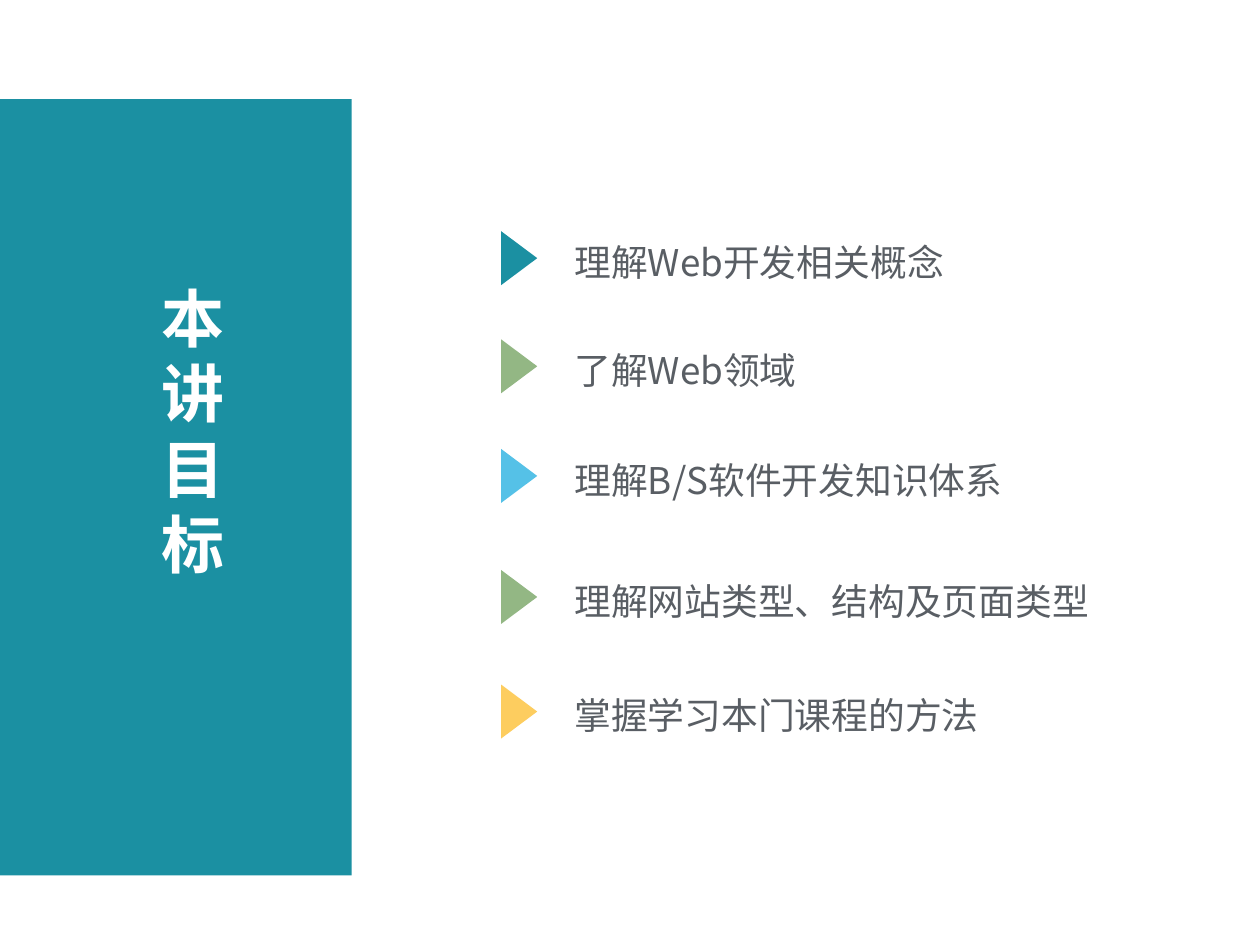
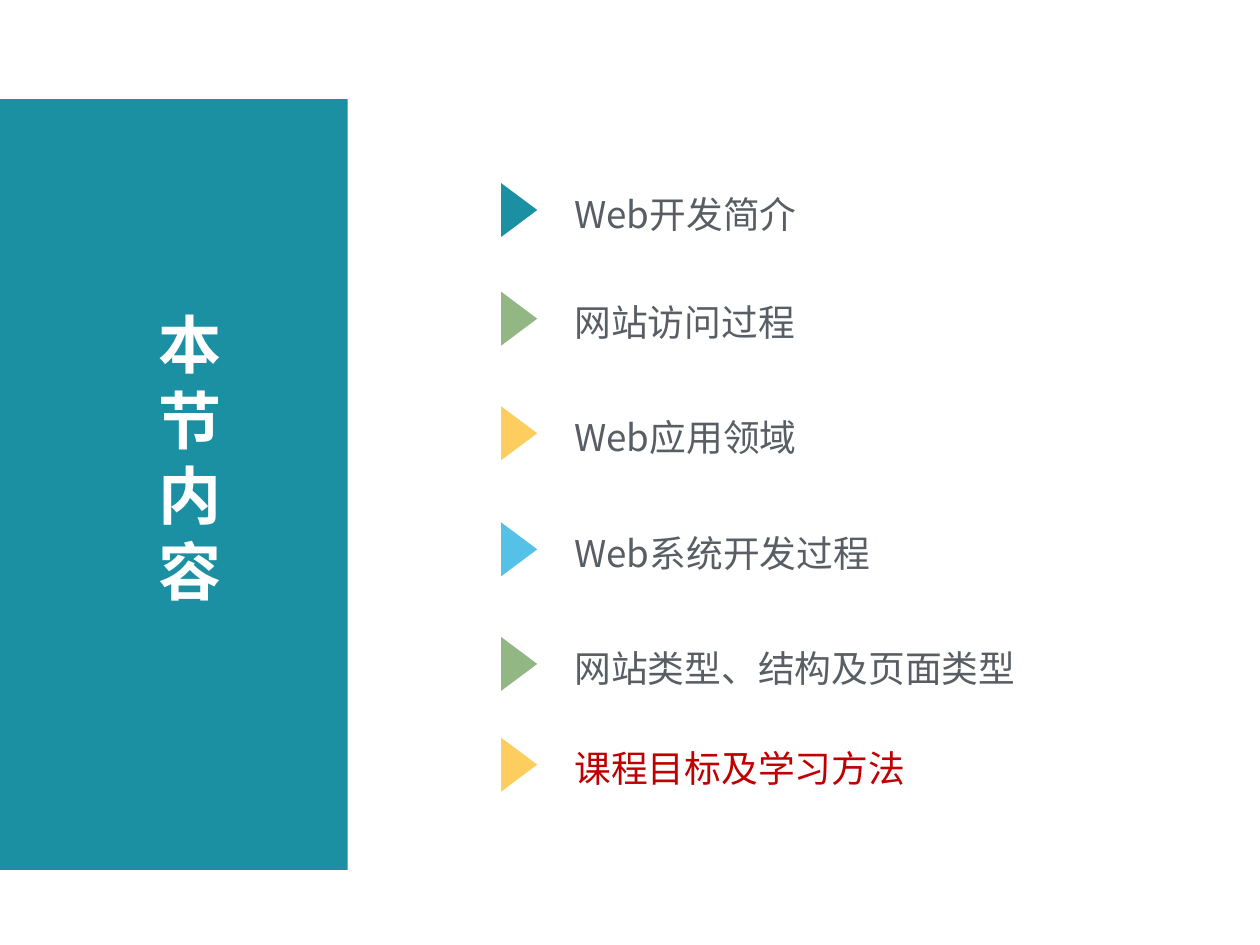
from dataclasses import dataclass
from typing import NamedTuple

from lxml import etree
from pptx import Presentation
from pptx import util as u
from pptx.dml.color import RGBColor
from pptx.enum import shapes
from pptx.oxml import ns


@dataclass(frozen=True)
class Theme:
    font: str = "Noto Sans CJK SC"
    teal: str = "1B90A2"
    green: str = "93B784"
    blue: str = "55C1E7"
    gold: str = "FDCD5F"
    grey: str = "595E64"
    red: str = "C00000"
    white: str = "FFFFFF"
    head: int = 36
    body: int = 21
    lead: float = 1.2
    drop: float = 0.07


T = Theme()


class Box(NamedTuple):
    left: float
    top: float
    wide: float
    high: float

    def cm(self) -> list:
        return [u.Cm(n) for n in self]


class Item(NamedTuple):
    text: str
    top: float
    wide: float
    mark: str
    ink: str = T.grey


class Page(NamedTuple):
    title: str
    panel: Box
    head: Box
    items: tuple


PAGES = (
    Page("本讲目标", Box(0, 2, 7.09, 15.65), Box(3, 5.41, 2.49, 6.4), (
        Item("理解Web开发相关概念", 4.65, 8.61, T.teal),
        Item("了解Web领域", 6.83, 8.23, T.green),
        Item("理解B/S软件开发知识体系", 9.04, 9.6, T.blue),
        Item("理解网站类型、结构及页面类型", 11.48, 16.28, T.green),
        Item("掌握学习本门课程的方法", 13.79, 10.13, T.gold),
    )),
    Page("本节内容", Box(0, 2, 7.01, 15.54), Box(2.95, 5.94, 2.49, 6.4), (
        Item("Web开发简介", 3.68, 5.72, T.teal),
        Item("网站访问过程", 5.87, 6.3, T.green),
        Item("Web应用领域", 8.18, 7.42, T.gold),
        Item("Web系统开发过程", 10.52, 7.06, T.blue),
        Item("网站类型、结构及页面类型", 12.83, 16.28, T.green),
        Item("课程目标及学习方法", 14.86, 7.42, T.red and T.gold, T.red),
    )),
)


def add_form(slide, kind, box: Box, fill: str, turn: int = 0) -> None:
    form = slide.shapes.add_shape(kind, *box.cm())
    form.rotation = turn
    form.shadow.inherit = False
    form.fill.solid()
    form.fill.fore_color.rgb = RGBColor.from_string(fill)
    form.line.fill.background()


def add_text(slide, words: str, box: Box, size: int, ink: str, bold: bool = False) -> None:
    """Set wrapped text on a fixed line pitch, for Latin and Chinese alike."""
    frame = slide.shapes.add_textbox(*box.cm()).text_frame
    frame.word_wrap = True
    frame.margin_top = u.Cm(0.13) + u.Pt(size * T.drop)
    frame.margin_bottom = 0
    frame.text = words
    para = frame.paragraphs[0]
    para.line_spacing = u.Pt(size * T.lead)
    for run in para.runs:
        font = run.font
        font.name, font.size, font.bold = T.font, u.Pt(size), bold
        font.color.rgb = RGBColor.from_string(ink)
        east = etree.SubElement(run._r.get_or_add_rPr(), ns.qn("a:ea"))
        east.set("typeface", T.font)


def add_item(slide, item: Item) -> None:
    add_form(slide, shapes.MSO_SHAPE.ISOSCELES_TRIANGLE,
             Box(9.92, item.top + 0.19, 1.09, 0.73), item.mark, 90)
    add_text(slide, item.text, Box(11.33, item.top, item.wide, 1.14), T.body, item.ink)


def add_page(deck, page: Page) -> None:
    slide = deck.slides.add_slide(deck.slide_layouts[6])
    add_form(slide, shapes.MSO_SHAPE.RECTANGLE, page.panel, T.teal)
    add_text(slide, page.title, page.head, T.head, T.white, True)
    for item in page.items:
        add_item(slide, item)


def main() -> None:
    deck = Presentation()
    deck.slide_width, deck.slide_height = u.Cm(25.4), u.Cm(19.05)
    for page in PAGES:
        add_page(deck, page)
    deck.save("out.pptx")


if __name__ == "__main__":
    main()
